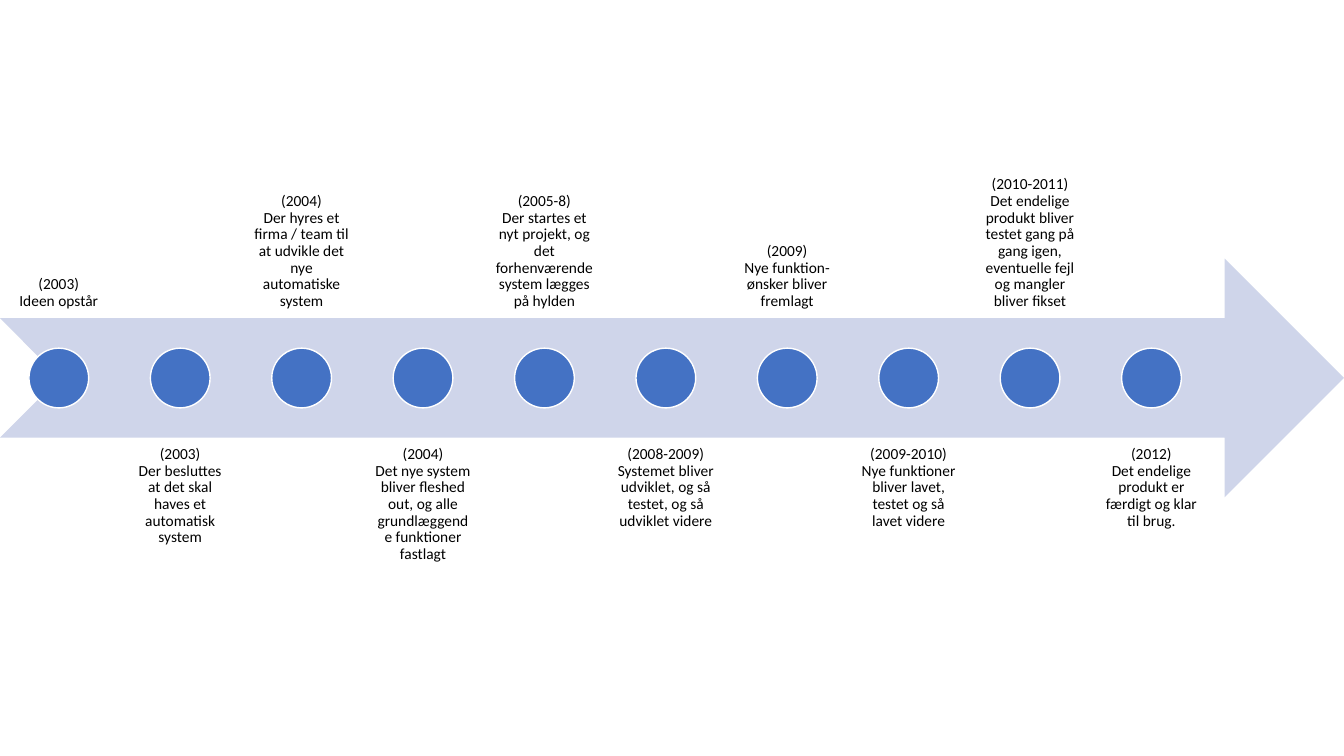
"""Build a project timeline slide with ten milestones along a notched arrow."""
from pptx import Presentation
from pptx.dml.color import RGBColor
from pptx.enum.shapes import MSO_SHAPE
from pptx.enum.text import MSO_ANCHOR, PP_ALIGN
from pptx.util import Pt

MILESTONES = [
    ("(2003)", "Ideen opstår"),
    ("(2003)", "Der besluttes at det skal haves et automatisk system"),
    ("(2004)", "Der hyres et firma / team til at udvikle det nye automatiske system"),
    ("(2004)", "Det nye system bliver fleshed out, og alle grundlæggende funktioner fastlagt"),
    ("(2005-8)", "Der startes et nyt projekt, og det forhenværende system lægges på hylden"),
    ("(2008-2009)", "Systemet bliver udviklet, og så testet, og så udviklet videre"),
    ("(2009)", "Nye funktion-ønsker bliver fremlagt"),
    ("(2009-2010)", "Nye funktioner bliver lavet, testet og så lavet videre"),
    ("(2010-2011)", "Det endelige produkt bliver testet gang på gang igen, "
                    "eventuelle fejl og mangler bliver fikset"),
    ("(2012)", "Det endelige produkt er færdigt og klar til brug."),
]
COLORS = {"arrow": "CFD5EA", "dot": "4472C4", "outline": "FFFFFF", "text": "000000"}
FONT, SIZE, INSET = "Calibri", 11, 6.16
WIDTH, HEIGHT = 960, 540
BAND = 170.6
FIRST_CENTER, PITCH = 42, 86.72
LABEL_WIDTH, DOT = 82.6, BAND / 4


def color(name):
    return RGBColor.from_string(COLORS[name])


def add_filled(s, kind, box, fill):
    sp = s.shapes.add_shape(kind, *map(Pt, box))
    sp.shadow.inherit = False
    sp.fill.solid()
    sp.fill.fore_color.rgb = color(fill)
    sp.line.fill.background()
    return sp


def add_label(s, center, above, year, event):
    top = HEIGHT / 2 - BAND * 1.25 if above else HEIGHT / 2 + BAND / 4
    box = (center - LABEL_WIDTH / 2, top, LABEL_WIDTH, BAND)
    tf = s.shapes.add_textbox(*map(Pt, box)).text_frame
    tf.word_wrap = True
    tf.vertical_anchor = MSO_ANCHOR.BOTTOM if above else MSO_ANCHOR.TOP
    tf.margin_left = tf.margin_right = tf.margin_top = tf.margin_bottom = Pt(INSET)
    p = tf.paragraphs[0]
    p.text = f"{year}\v{event}"
    p.alignment = PP_ALIGN.CENTER
    p.line_spacing = 0.9
    for r in p.runs:
        r.font.name = FONT
        r.font.size = Pt(SIZE)
        r.font.color.rgb = color("text")


def add_dot(s, center):
    box = (center - DOT / 2, (HEIGHT - DOT) / 2, DOT, DOT)
    sp = add_filled(s, MSO_SHAPE.OVAL, box, "dot")
    sp.line.color.rgb = color("outline")
    sp.line.width = Pt(1)


prs = Presentation()
prs.slide_width, prs.slide_height = Pt(WIDTH), Pt(HEIGHT)
s = prs.slides.add_slide(prs.slide_layouts[6])

add_filled(s, MSO_SHAPE.NOTCHED_RIGHT_ARROW, (0, (HEIGHT - BAND) / 2, WIDTH, BAND), "arrow")
for i, (year, event) in enumerate(MILESTONES):
    center = FIRST_CENTER + i * PITCH
    add_label(s, center, i % 2 == 0, year, event)
    add_dot(s, center)

prs.save("out.pptx")
